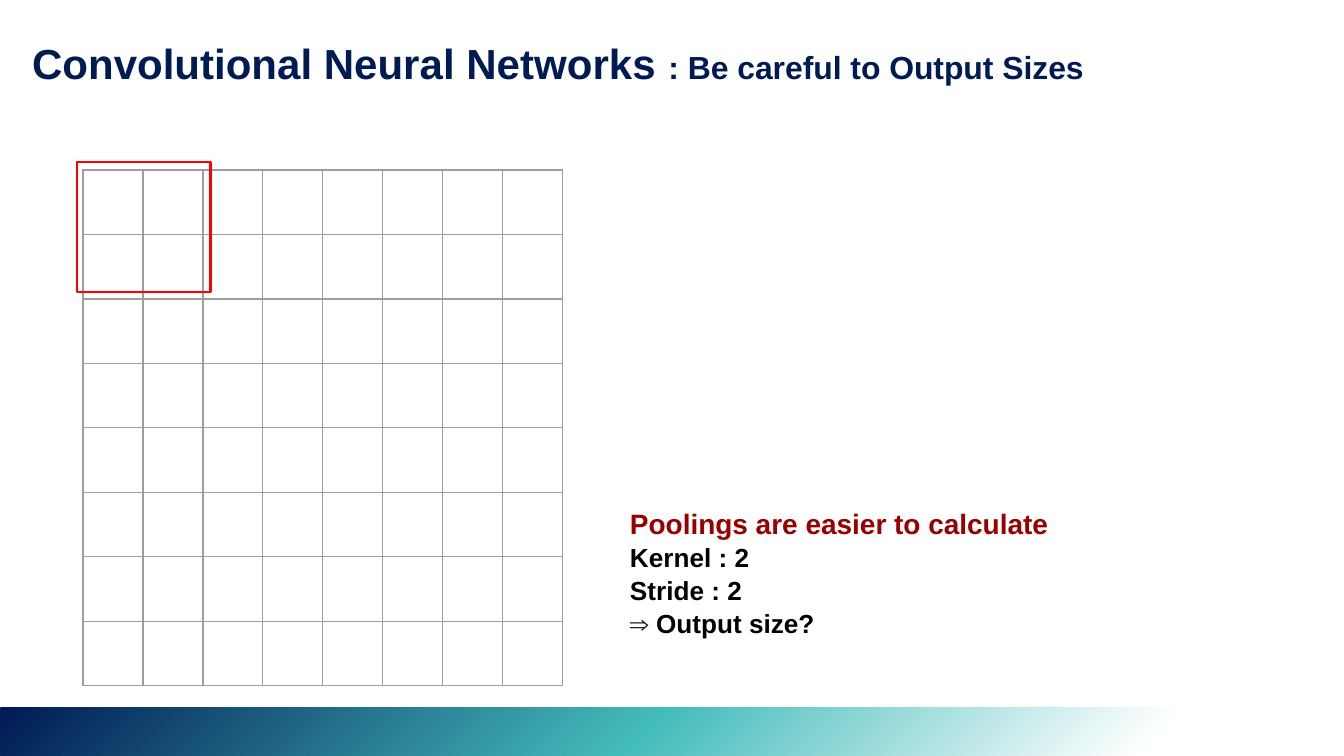
from lxml import etree
from pptx import Presentation
from pptx.dml.color import RGBColor
from pptx.enum.shapes import MSO_SHAPE
from pptx.enum.text import MSO_ANCHOR, MSO_AUTO_SIZE, PP_ALIGN
from pptx.oxml import parse_xml
from pptx.oxml.ns import nsdecls, qn
from pptx.util import Pt

RECT = MSO_SHAPE.RECTANGLE
LEFT = PP_ALIGN.LEFT
TOP, MIDDLE = MSO_ANCHOR.TOP, MSO_ANCHOR.MIDDLE
NO_FIT = MSO_AUTO_SIZE.NONE

NAVY = RGBColor(0x00, 0x1B, 0x54)
TEAL = RGBColor(0x45, 0xBC, 0xBC)
WHITE = RGBColor(0xFF, 0xFF, 0xFF)
GREY = RGBColor(0x9E, 0x9E, 0x9E)
RED = RGBColor(0xFF, 0x00, 0x00)
MAROON = RGBColor(0x98, 0x00, 0x00)
BLACK = RGBColor(0x00, 0x00, 0x00)

FONT = "Arial"
PX = 914400 / 134.4
INSET = 13

# Each paragraph is a list of (text, size, colour) runs.
TITLE = [[("Convolutional Neural Networks ", 22.5, NAVY),
          (": Be careful to Output Sizes", 17.1, NAVY)]]
POOLING = [
    [("Poolings are easier to calculate", 15, MAROON)],
    [("Kernel : 2", 14, BLACK)],
    [("Stride : 2", 14, BLACK)],
    [("⇒ Output size?", 14, BLACK)],
]
GRID_SIZE = 8
BAND_STOPS = [(0, NAVY), (48, TEAL), (85, WHITE), (100, WHITE)]

# Left, top, width, height in px
TITLE_BOX = (19, 20, 1306, 85)
GRID_BOX = (83, 170, 480, 516)
KERNEL_BOX = (77, 162, 134, 130)
POOLING_BOX = (617, 492, 681, 187)
BAND_BOX = (1, 708, 1344, 50)


def px(n):
    return round(n * PX)


def emu(box):
    return [px(n) for n in box]


def write(shape, paragraphs, anchor=TOP, spacing=1.0):
    tf = shape.text_frame
    tf.word_wrap = True
    tf.auto_size = NO_FIT
    tf.vertical_anchor = anchor
    tf.margin_left = tf.margin_right = px(INSET)
    tf.margin_top = tf.margin_bottom = px(INSET)
    for i, runs in enumerate(paragraphs):
        p = tf.paragraphs[0] if i == 0 else tf.add_paragraph()
        p.alignment = LEFT
        p.line_spacing = spacing
        p.space_before = p.space_after = Pt(0)
        for text, size, color in runs:
            r = p.add_run()
            r.text = text
            r.font.name, r.font.size, r.font.bold = FONT, Pt(size), True
            r.font.color.rgb = color


def add_band(slide):
    """Footer band with a gradient that spreads from one corner."""
    sp = slide.shapes.add_shape(RECT, *emu(BAND_BOX))
    sp.shadow.inherit = False
    sp.line.fill.background()
    sp.fill.background()
    stops = "".join(
        f'<a:gs pos="{pos * 1000}"><a:srgbClr val="{color}"/></a:gs>'
        for pos, color in BAND_STOPS)
    gradient = parse_xml(
        f'<a:gradFill {nsdecls("a")}><a:gsLst>{stops}</a:gsLst>'
        '<a:path path="circle"><a:fillToRect r="100000" b="100000"/></a:path>'
        '</a:gradFill>')
    props = sp.element.spPr
    props.replace(props.find(qn("a:noFill")), gradient)
    props.find(qn("a:xfrm")).set("flipH", "1")


def set_borders(cell, color, width):
    props = cell._tc.get_or_add_tcPr()
    for i, side in enumerate(("lnL", "lnR", "lnT", "lnB")):
        ln = etree.Element(qn(f"a:{side}"), w=str(Pt(width)))
        fill = etree.SubElement(ln, qn("a:solidFill"))
        etree.SubElement(fill, qn("a:srgbClr"), val=str(color))
        props.insert(i, ln)


def add_grid(slide):
    frame = slide.shapes.add_table(GRID_SIZE, GRID_SIZE, *emu(GRID_BOX))
    table = frame.table
    table.first_row = table.horz_banding = False
    for column in table.columns:
        column.width = px(GRID_BOX[2] / GRID_SIZE)
    for row in table.rows:
        row.height = px(GRID_BOX[3] / GRID_SIZE)
    for cell in table.iter_cells():
        cell.fill.background()
        cell.text_frame.paragraphs[0].font.size = Pt(14)
        set_borders(cell, GREY, 0.75)


def add_kernel(slide):
    sp = slide.shapes.add_shape(RECT, *emu(KERNEL_BOX))
    sp.shadow.inherit = False
    sp.fill.background()
    sp.line.color.rgb = RED
    sp.line.width = Pt(1.5)


def main():
    prs = Presentation()
    prs.slide_width, prs.slide_height = px(1344), px(756)
    slide = prs.slides.add_slide(prs.slide_layouts[5])
    add_band(slide)
    title = slide.shapes.title
    title.left, title.top, title.width, title.height = emu(TITLE_BOX)
    write(title, TITLE, anchor=MIDDLE)
    add_grid(slide)
    add_kernel(slide)
    write(slide.shapes.add_textbox(*emu(POOLING_BOX)), POOLING, spacing=1.05)
    prs.save("out.pptx")


if __name__ == "__main__":
    main()
